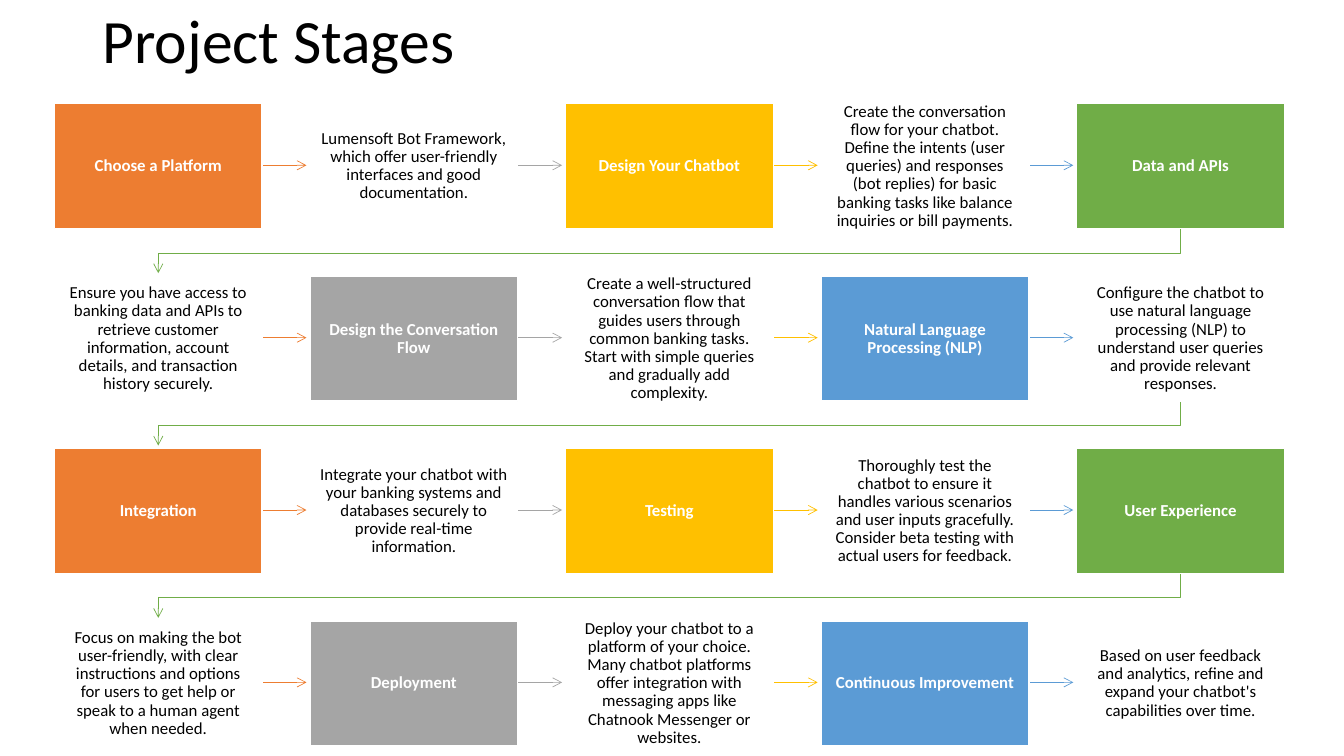
from dataclasses import dataclass

from lxml import etree
from pptx import Presentation
from pptx import util as u
from pptx.dml.color import RGBColor
from pptx.enum import shapes, text
from pptx.oxml import ns
from pptx.slide import Slide


@dataclass(frozen=True)
class Theme:
    font: str = "Calibri"
    head: int = 44
    body: int = 12
    edge: float = 1
    line: float = 0.5
    dark: str = "000000"
    light: str = "FFFFFF"
    hues: tuple[str, ...] = ("ED7D31", "A5A5A5", "FFC000", "5B9BD5", "70AD47")


@dataclass(frozen=True)
class Grid:
    """Card grid in inches; columns and rows may be fractional."""
    cols: int = 5
    left: float = 0.54
    top: float = 1.03
    right: float = 10.68
    step: float = 1.71
    wide: float = 2.06
    high: float = 1.24

    def x(self, col: float) -> float:
        return self.left + col * (self.right - self.left) / (self.cols - 1)

    def y(self, row: float) -> float:
        return self.top + row * self.step


@dataclass(frozen=True)
class Stage:
    name: str
    note: str


THEME = Theme()
GRID = Grid()
WIDE, HIGH = 13.33, 7.5
GAP = 0.44  # length of an arrow between cards

STAGES = [
    Stage("Choose a Platform",
          "Lumensoft Bot Framework, which offer user-friendly interfaces and good "
          "documentation."),
    Stage("Design Your Chatbot",
          "Create the conversation flow for your chatbot. Define the intents (user "
          "queries) and responses (bot replies) for basic banking tasks like balance "
          "inquiries or bill payments."),
    Stage("Data and APIs",
          "Ensure you have access to banking data and APIs to retrieve customer "
          "information, account details, and transaction history securely."),
    Stage("Design the Conversation Flow",
          "Create a well-structured conversation flow that guides users through common "
          "banking tasks. Start with simple queries and gradually add complexity."),
    Stage("Natural Language Processing (NLP)",
          "Configure the chatbot to use natural language processing (NLP) to understand "
          "user queries and provide relevant responses."),
    Stage("Integration",
          "Integrate your chatbot with your banking systems and databases securely to "
          "provide real-time information."),
    Stage("Testing",
          "Thoroughly test the chatbot to ensure it handles various scenarios and user "
          "inputs gracefully. Consider beta testing with actual users for feedback."),
    Stage("User Experience",
          "Focus on making the bot user-friendly, with clear instructions and options "
          "for users to get help or speak to a human agent when needed."),
    Stage("Deployment",
          "Deploy your chatbot to a platform of your choice. Many chatbot platforms "
          "offer integration with messaging apps like Chatnook Messenger or websites."),
    Stage("Continuous Improvement",
          "Based on user feedback and analytics, refine and expand your chatbot's "
          "capabilities over time."),
]


def paint(hue: str) -> RGBColor:
    return RGBColor.from_string(hue)


def write(shape, words: str, size: int, hue: str, bold: bool = False) -> None:
    frame = shape.text_frame
    frame.word_wrap = True
    frame.vertical_anchor = text.MSO_ANCHOR.MIDDLE
    frame.text = words
    para = frame.paragraphs[0]
    para.line_spacing = 0.9
    font = para.runs[0].font
    font.name, font.size, font.bold = THEME.font, u.Pt(size), bold
    font.color.rgb = paint(hue)


def add_title(slide: Slide, words: str) -> None:
    box = slide.shapes.add_textbox(u.Inches(0.92), 0, u.Inches(11.5), u.Inches(0.87))
    write(box, words, THEME.head, THEME.dark)


def add_card(slide: Slide, col: int, row: int, words: str, filled: bool) -> None:
    card = slide.shapes.add_shape(
        shapes.MSO_SHAPE.RECTANGLE, u.Inches(GRID.x(col)), u.Inches(GRID.y(row)),
        u.Inches(GRID.wide), u.Inches(GRID.high))
    card.shadow.inherit = False
    if filled:
        card.fill.solid()
        card.fill.fore_color.rgb = paint(THEME.hues[col])
    else:
        card.fill.background()
    card.line.color.rgb = paint(THEME.light)
    card.line.width = u.Pt(THEME.edge)
    write(card, words, THEME.body, THEME.light if filled else THEME.dark, filled)
    frame = card.text_frame
    frame.margin_left = frame.margin_right = u.Inches(0.1)
    frame.margin_top = frame.margin_bottom = u.Inches(0.11)
    frame.paragraphs[0].alignment = text.PP_ALIGN.CENTER


def style_link(link, hue: str) -> None:
    """Give a link its thin line, an open arrowhead and no shadow."""
    link.line.color.rgb = paint(hue)
    link.line.width = u.Pt(THEME.line)
    props = link._element.spPr
    etree.SubElement(props.find(ns.qn("a:ln")), ns.qn("a:tailEnd"), type="arrow")
    if props.find(ns.qn("a:effectLst")) is None:
        etree.SubElement(props, ns.qn("a:effectLst"))


def add_arrow(slide: Slide, col: int, row: int) -> None:
    """Point from a card to its right-hand neighbour."""
    start = GRID.x(col) + GRID.wide
    mid = u.Inches(GRID.y(row) + GRID.high / 2 - 0.01)
    link = slide.shapes.add_connector(
        shapes.MSO_CONNECTOR.STRAIGHT, u.Inches(start), mid, u.Inches(start + GAP), mid)
    style_link(link, THEME.hues[col])


def add_turn(slide: Slide, row: int) -> None:
    """Lead from the last card of a row to the first card of the next."""
    first, last = (GRID.x(col) + GRID.wide / 2 for col in (0, GRID.cols - 1))
    top = GRID.y(row) + GRID.high
    bend = top + 0.24
    path = slide.shapes.build_freeform(u.Inches(last), u.Inches(top))
    path.add_line_segments(
        [(u.Inches(x), u.Inches(y))
         for x, y in ((last, bend), (first, bend), (first, top + GAP))], close=False)
    link = path.convert_to_shape()
    link.fill.background()
    link.shadow.inherit = False
    style_link(link, THEME.hues[-1])


def main() -> None:
    deck = Presentation()
    deck.slide_width, deck.slide_height = u.Inches(WIDE), u.Inches(HIGH)
    slide = deck.slides.add_slide(deck.slide_layouts[6])
    add_title(slide, "Project Stages")

    cards = [(words, filled) for stage in STAGES
             for words, filled in ((stage.name, True), (stage.note, False))]
    for spot, (words, filled) in enumerate(cards):
        row, col = divmod(spot, GRID.cols)
        if col < GRID.cols - 1:
            add_arrow(slide, col, row)
        elif spot < len(cards) - 1:
            add_turn(slide, row)
        add_card(slide, col, row, words, filled)
    deck.save("out.pptx")


if __name__ == "__main__":
    main()
